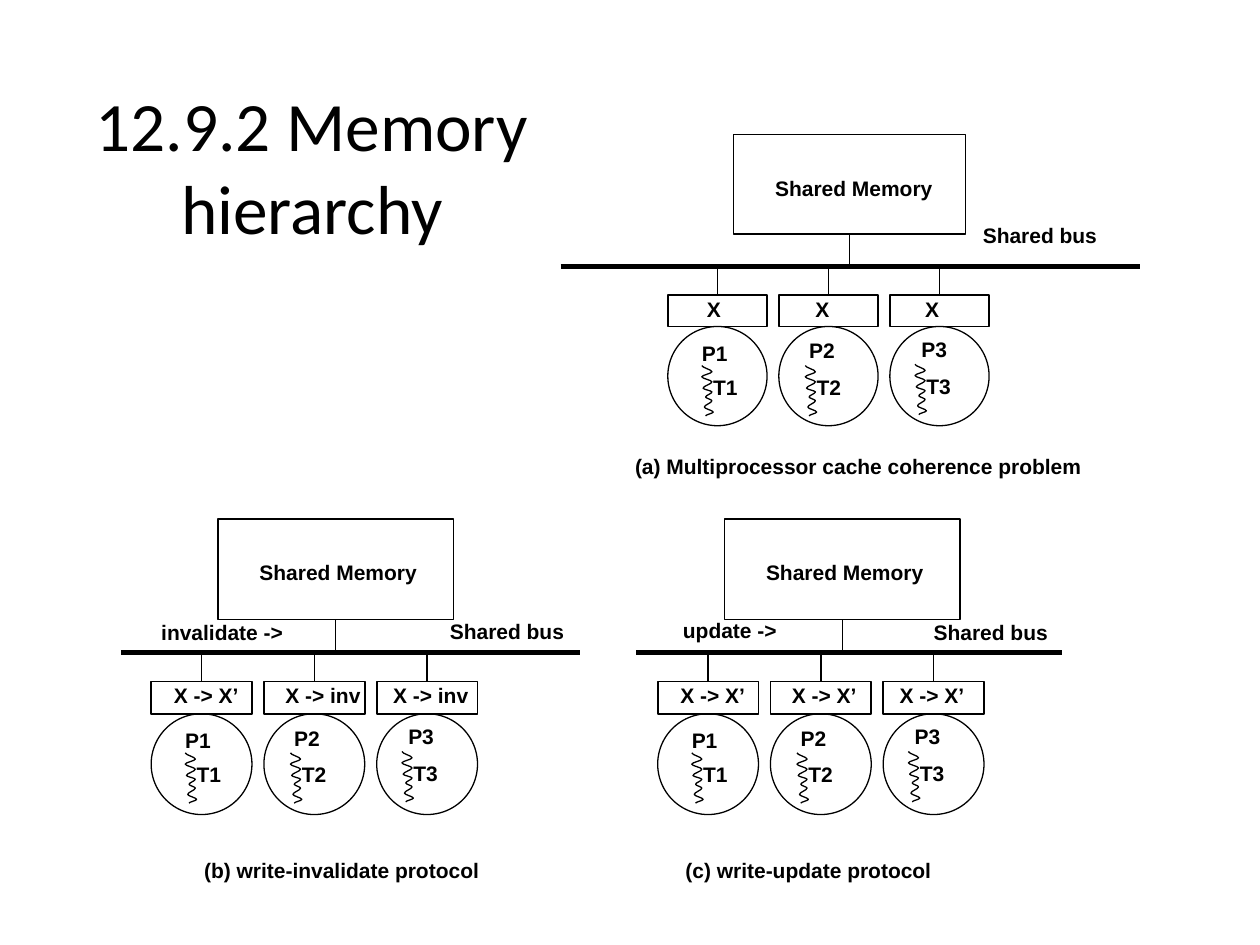
from pptx import Presentation
from pptx.dml.color import RGBColor
from pptx.enum.shapes import MSO_CONNECTOR as Link, MSO_SHAPE as Kind
from pptx.enum.text import MSO_ANCHOR as Anchor, PP_ALIGN as Align
from pptx.oxml.ns import qn
from pptx.util import Pt
from lxml.etree import SubElement

PX = 9144  # one px is a hundredth of an inch
BLACK = RGBColor(0, 0, 0)
BASE = 259  # panel width at which the inner offsets hold
BENDS = [(0, 0), (8, 5), (0, 9), (8, 13), (1, 18), (8, 21),
         (3, 25), (8, 28), (2, 33), (9, 37), (3, 40)]
# Per processor: offset of its name, then of its thread, inside the circle
MARKS = [((22, 8), (27, 31)), ((19, 6), (21, 31)), ((20, 5), (20, 30))]


def emu(*nums):
    return [round(n * PX) for n in nums]


def write(slide, text, x, y, w, h=26, size=12, font="Arial", bold=True):
    box = slide.shapes.add_textbox(*emu(x, y, w, h))
    frame = box.text_frame
    frame.word_wrap = True
    frame.margin_left = frame.margin_right = 5 * PX
    frame.margin_top = frame.margin_bottom = 3 * PX
    run = frame.paragraphs[0].add_run()
    run.text = text
    run.font.size, run.font.name, run.font.bold = Pt(size), font, bold
    run.font.color.rgb = BLACK
    return frame


def ink(shape, width):
    shape.line.color.rgb = BLACK
    shape.line.width = Pt(width)


def clear(shape):
    shape.shadow.inherit = False
    shape.fill.background()


def outline(slide, kind, x, y, w, h, width=0.75):
    shape = slide.shapes.add_shape(kind, *emu(x, y, w, h))
    clear(shape)
    ink(shape, width)
    return shape


def wire(slide, x1, y1, x2, y2, width=0.75):
    line = slide.shapes.add_connector(Link.STRAIGHT, *emu(x1, y1, x2, y2))
    ink(line, width)
    SubElement(line._element.spPr, qn("a:effectLst"))
    return line


def thread(slide, x, y):
    """Draw a wavy line whose bends have upright tangents."""
    dots = []
    for (x1, y1), (x2, y2) in zip(BENDS, BENDS[1:]):
        third = (y2 - y1) / 3
        dots += [emu(x + x1, y + y1 + third), emu(x + x2, y + y2 - third),
                 emu(x + x2, y + y2)]
    pen = slide.shapes.build_freeform(*emu(x, y))
    pen.add_line_segments(dots, close=False)
    wave = pen.convert_to_shape()
    clear(wave)
    ink(wave, 0.75)

    # Every three straight steps become one curve: two handles and an end
    route = next(wave._element.iter(qn("a:path")))
    steps = route.findall(qn("a:lnTo"))
    for i in range(0, len(steps), 3):
        curve = SubElement(route, qn("a:cubicBezTo"))
        for step in steps[i:i + 3]:
            curve.append(step[0])
            route.remove(step)


def node(slide, x, y, scale, bus, num, state):
    """Place a cache at (x, y), its processor below and its wire to the bus."""
    side, high = 80 * scale, 25.5 * scale
    cache = outline(slide, Kind.RECTANGLE, x, y, side, high, 1)
    mid = x + side / 2
    wire(slide, mid, bus, mid, y).end_connect(cache, 0)
    text, shift = state
    write(slide, text, x + shift, y - 2, 80)

    top = y + high
    outline(slide, Kind.OVAL, x, top, side, side)
    (px, py), (tx, ty) = MARKS[num - 1]
    write(slide, f"P{num}", x + px, top + py, 48)
    thread(slide, x + tx, top + ty)
    write(slide, f"T{num}", x + tx + 4, top + ty + 4, 38)


def panel(slide, x, y, w, ends, states, notes):
    """Draw one system; bus ends and notes are relative to (x, y)."""
    scale = w / BASE
    left, wide, high = x + 53 * scale, 187 * scale, 80 * scale
    bus = y + 106 * scale
    store = outline(slide, Kind.RECTANGLE, left, y, wide, high)
    write(slide, "Shared Memory", left + 28, y + 29, 140)
    mid = left + wide / 2
    wire(slide, mid, y + high, mid, bus).begin_connect(store, 2)
    wire(slide, x + ends[0], bus, x + ends[1], bus, 3)
    for i, state in enumerate(states):
        node(slide, x + i * 89.5 * scale, y + 129 * scale, scale, bus,
             i + 1, state)
    for text, dx, dy, room in notes:
        write(slide, text, x + dx, y + dy, room)


def title(slide, x, y, w, h):
    frame = write(slide, "12.9.2 Memory hierarchy", x, y, w, h,
                  39.6, "Calibri", False)
    frame.vertical_anchor = Anchor.MIDDLE
    frame.paragraphs[0].alignment = Align.CENTER


def main():
    deck = Presentation()
    deck.slide_width, deck.slide_height = emu(1000, 750)
    slide = deck.slides.add_slide(deck.slide_layouts[6])
    title(slide, 50, 30, 395, 203)
    panel(slide, 530, 107, 255, (-85, 375),
          [("X", 26), ("X", 24), ("X", 23)],
          [("Shared bus", 245, 67, 109),
           ("(a) Multiprocessor cache coherence problem", -31, 250, 387)])
    panel(slide, 120, 412, 259, (-24, 340),
          [("X -> X’", 13), ("X -> inv", 12), ("X -> inv", 8)],
          [("Shared bus", 232, 76, 109),
           ("invalidate ->", 3, 77, 114),
           ("(b) write-invalidate protocol", 37, 266, 276)])
    panel(slide, 522, 412, 259, (-17, 321),
          [("X -> X’", 13), ("X -> X’", 12), ("X -> X’", 8)],
          [("Shared bus", 214, 77, 109),
           ("update ->", 15, 75, 89),
           ("(c) write-update protocol", 17, 266, 250)])
    deck.save("out.pptx")


if __name__ == "__main__":
    main()
